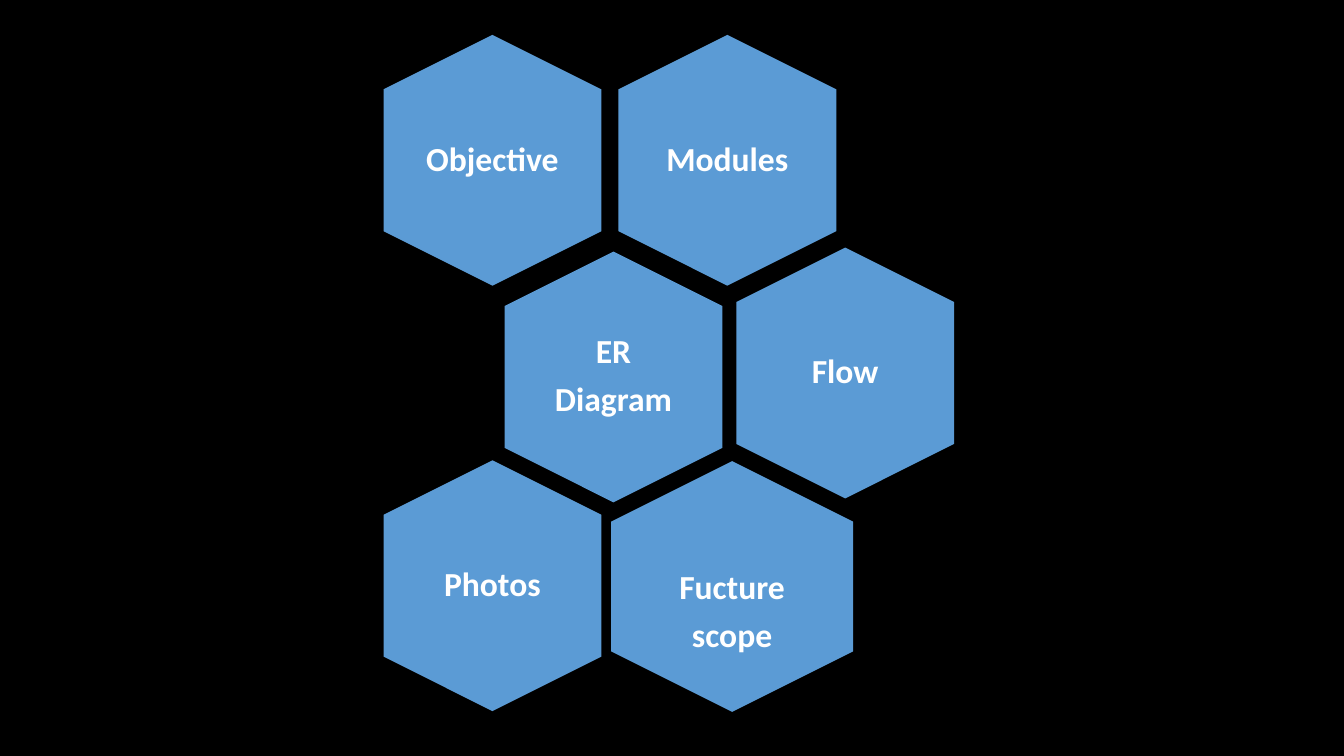
"""Build a slide of six honeycomb cells naming the parts of a project."""
from dataclasses import dataclass

from pptx import Presentation
from pptx.dml.color import RGBColor
from pptx.enum.shapes import MSO_SHAPE
from pptx.enum.text import MSO_ANCHOR, PP_ALIGN
from pptx.slide import Slide
from pptx.util import Cm, Pt

COLORS = {"background": "000000", "cell": "5B9BD5", "text": "FFFFFF"}
FONT = "Calibri"
CELL_LENGTH = 6.32
LABEL_WIDTH, LABEL_HEIGHT = 3.78, 4.34
LEFT_X, RIGHT_X = 12.41, 18.33
TOP_Y, BOTTOM_Y = 4.04, 14.76


@dataclass(frozen=True)
class Cell:
    """A hexagon given by its centre, in centimetres, and its label lines."""

    lines: tuple[str, ...]
    x: float
    y: float
    width: float = 5.49
    top_inset: float = 0


CELLS = (
    Cell(("Modules",), RIGHT_X, TOP_Y),
    Cell(("Objective",), LEFT_X, TOP_Y),
    Cell(("ER", "Diagram"), 15.46, 9.5),
    Cell(("Flow",), 21.3, 9.4),
    Cell(("Fucture", "scope"), 18.45, 14.78, width=6.1, top_inset=1.32),
    Cell(("Photos",), LEFT_X, BOTTOM_Y),
)


def rgb(name: str) -> RGBColor:
    """Return the named colour."""
    return RGBColor.from_string(COLORS[name])


def box(x: float, y: float, w: float, h: float) -> tuple[Cm, Cm, Cm, Cm]:
    """Return left, top, width and height of a box centred on x, y."""
    return Cm(x - w / 2), Cm(y - h / 2), Cm(w), Cm(h)


def add_hexagon(s: Slide, cell: Cell) -> None:
    """Draw the upright hexagon of a cell."""
    sp = s.shapes.add_shape(
        MSO_SHAPE.HEXAGON, *box(cell.x, cell.y, CELL_LENGTH, cell.width))
    sp.rotation = 90
    sp.shadow.inherit = False
    sp.fill.solid()
    sp.fill.fore_color.rgb = rgb("cell")
    sp.line.fill.background()


def add_label(s: Slide, cell: Cell) -> None:
    """Write the label of a cell, one paragraph for each line."""
    sp = s.shapes.add_textbox(*box(cell.x, cell.y, LABEL_WIDTH, LABEL_HEIGHT))
    tf = sp.text_frame
    tf.word_wrap = True
    tf.vertical_anchor = MSO_ANCHOR.MIDDLE
    tf.margin_left = tf.margin_right = tf.margin_bottom = 0
    tf.margin_top = Cm(cell.top_inset)
    for i, line in enumerate(cell.lines):
        p = tf.add_paragraph() if i else tf.paragraphs[0]
        p.alignment = PP_ALIGN.CENTER
        p.line_spacing = 0.9
        p.space_after = Pt(8.4)
        r = p.add_run()
        r.text = line
        r.font.name = FONT
        r.font.size = Pt(24)
        r.font.bold = True
        r.font.color.rgb = rgb("text")


def main() -> None:
    """Build and save the presentation."""
    prs = Presentation()
    prs.slide_width, prs.slide_height = Cm(33.87), Cm(19.05)
    s = prs.slides.add_slide(prs.slide_layouts[6])
    s.background.fill.solid()
    s.background.fill.fore_color.rgb = rgb("background")
    for cell in CELLS:
        add_hexagon(s, cell)
        add_label(s, cell)
    prs.save("out.pptx")


if __name__ == "__main__":
    main()
